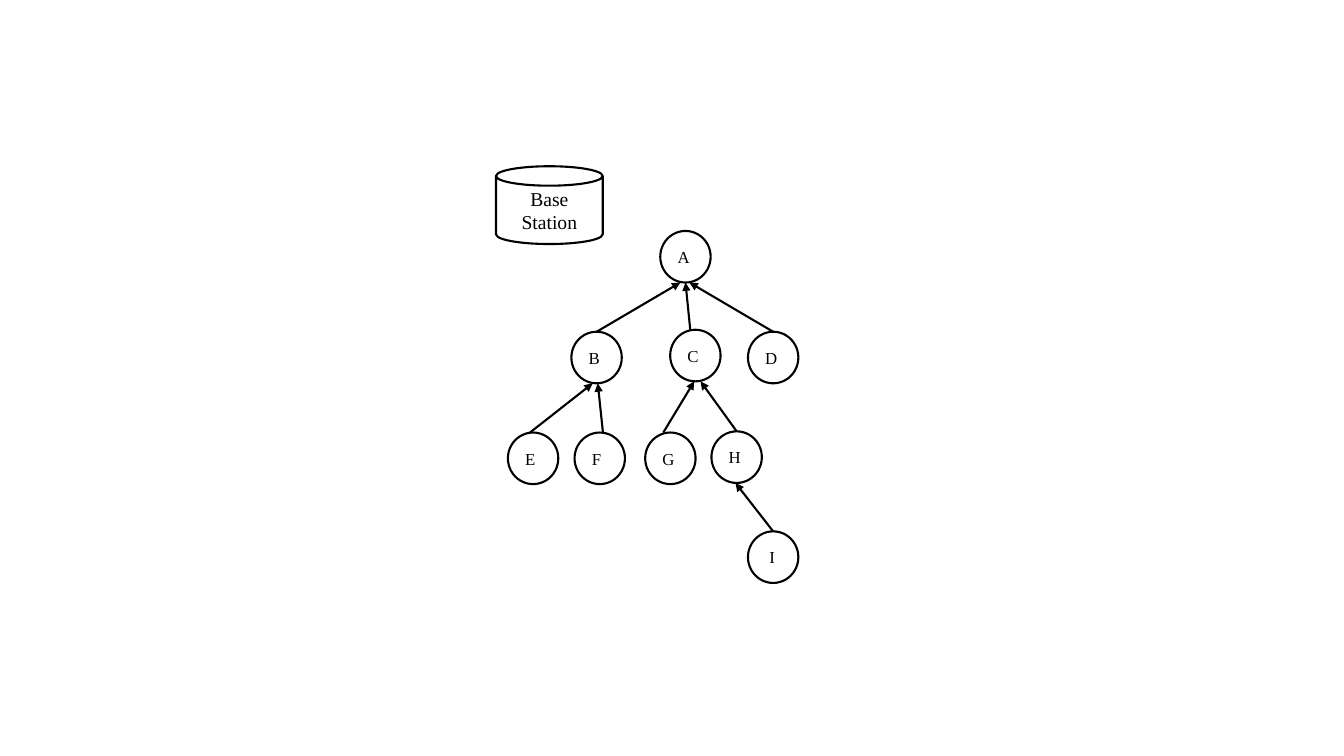
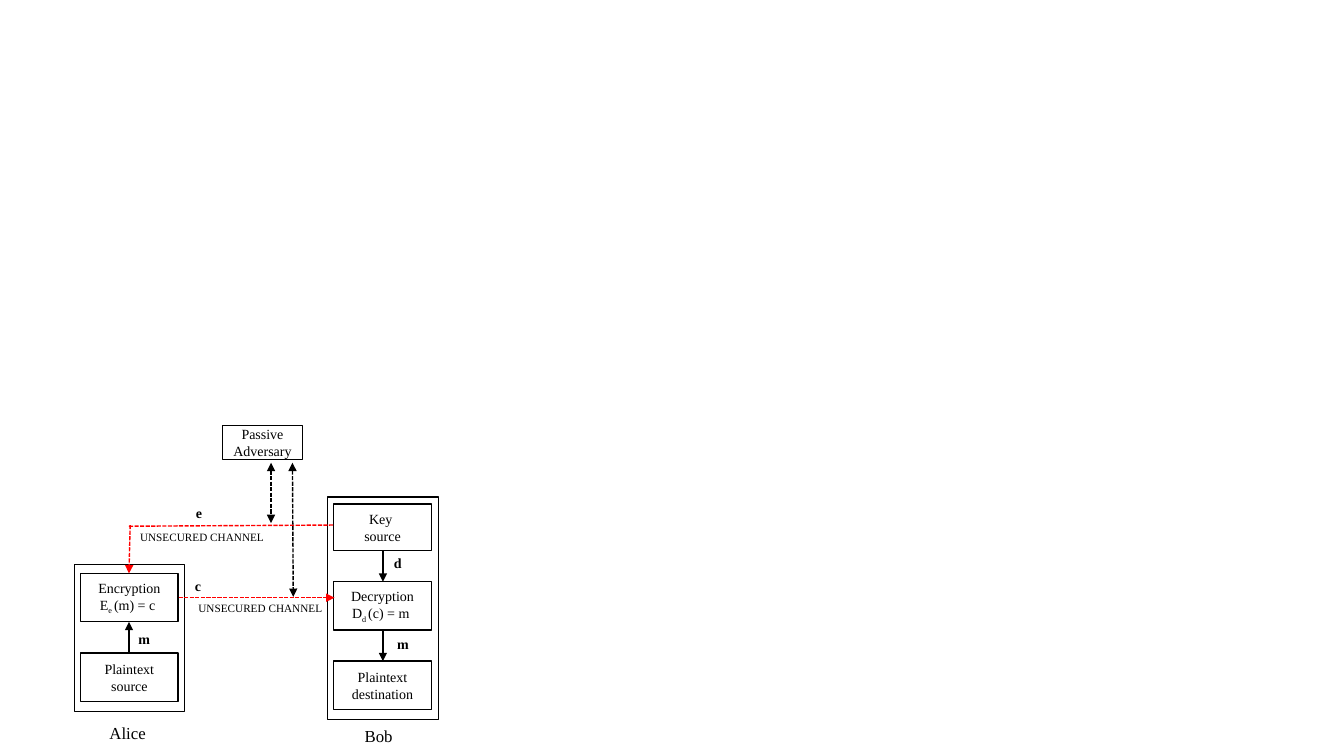
from lxml import etree
from pptx import Presentation
from pptx.dml.color import RGBColor
from pptx.enum.dml import MSO_LINE
from pptx.enum.shapes import MSO_CONNECTOR, MSO_SHAPE
from pptx.enum.text import MSO_ANCHOR, MSO_AUTO_SIZE, PP_ALIGN
from pptx.oxml.ns import qn
from pptx.util import Cm, Pt

OVAL, RECT, CAN = MSO_SHAPE.OVAL, MSO_SHAPE.RECTANGLE, MSO_SHAPE.CAN
STRAIGHT, DASH = MSO_CONNECTOR.STRAIGHT, MSO_LINE.SQUARE_DOT
LEFT, CENTER = PP_ALIGN.LEFT, PP_ALIGN.CENTER
MIDDLE, GROW = MSO_ANCHOR.MIDDLE, MSO_AUTO_SIZE.SHAPE_TO_FIT_TEXT
FONT = "Times New Roman"
COLORS = {"ink": "000000", "paper": "FFFFFF", "alert": "FF0000"}


def color(name):
    return RGBColor.from_string(COLORS[name])


class Deck:
    """Holds the shared style and the current slide."""

    def __init__(self):
        self.prs = Presentation()
        self.prs.slide_width, self.prs.slide_height = Cm(33.87), Cm(19.05)
        self.slide = None
        self.width = 1

    def page(self, width):
        """Start a slide whose lines are all this many points wide."""
        self.slide = self.prs.slides.add_slide(self.prs.slide_layouts[6])
        self.width = width

    def set_text(self, frame, text, size, align, bold=False):
        """Fill a frame; text between bars is set as a subscript."""
        lines = text.split("\n")
        for num, line in enumerate(lines):
            para = frame.add_paragraph() if num else frame.paragraphs[0]
            para.alignment = align
            for part, piece in enumerate(line.split("|")):
                run = para.add_run()
                run.text = piece
                font = run.font
                font.name, font.size, font.bold = FONT, Pt(size), bold
                font.color.rgb = color("ink")
                if part % 2:
                    run._r.get_or_add_rPr().set("baseline", "-25000")

    def shape(self, kind, x, y, w, h, text="", size=10, align=CENTER, fill=None):
        item = self.slide.shapes.add_shape(kind, Cm(x), Cm(y), Cm(w), Cm(h))
        item.shadow.inherit = False
        if fill:
            item.fill.solid()
            item.fill.fore_color.rgb = color(fill)
        else:
            item.fill.background()
        item.line.color.rgb = color("ink")
        item.line.width = Pt(self.width)
        if text:
            item.text_frame.vertical_anchor = MIDDLE
            self.set_text(item.text_frame, text, size, align)

    def label(self, x, y, w, h, text, size, bold=False, wrap=True, inset=None):
        box = self.slide.shapes.add_textbox(Cm(x), Cm(y), Cm(w), Cm(h))
        frame = box.text_frame
        frame.word_wrap, frame.auto_size = wrap, GROW
        if inset is not None:
            frame.margin_left, frame.margin_right = Cm(inset), 0
        self.set_text(frame, text, size, LEFT, bold)

    def line(self, x1, y1, x2, y2, ends=("tailEnd",), ink="ink", dash=False):
        link = self.slide.shapes.add_connector(
            STRAIGHT, Cm(x1), Cm(y1), Cm(x2), Cm(y2))
        link.line.color.rgb = color(ink)
        link.line.width = Pt(self.width)
        if dash:
            link.line.dash_style = DASH
        props = link._element.spPr
        for end in ends:
            tip = etree.SubElement(props.find(qn("a:ln")), qn("a:" + end))
            tip.set("type", "triangle")
        etree.SubElement(props, qn("a:effectLst"))


deck = Deck()

# Slide 1: routing tree
deck.page(1.5)
NODE_W, NODE_H = 1.27, 1.3
nodes = {
    "A": (16.64, 5.82),
    "B": (14.4, 8.36), "C": (16.89, 8.31), "D": (18.85, 8.36),
    "E": (12.8, 10.9), "F": (14.48, 10.9), "G": (16.26, 10.9),
    "H": (17.93, 10.87), " I": (18.85, 13.39),
}
for name, (x, y) in nodes.items():
    deck.shape(OVAL, x, y, NODE_W, NODE_H, name, 12, LEFT, "paper")

# Child, parent, and how far each end sits from the node's middle
edges = [
    ("B", "A", 0, -0.13), ("C", "A", -0.13, 0), ("D", "A", 0, 0.1),
    ("E", "B", -0.08, -0.1), ("F", "B", 0.08, 0.03),
    ("G", "C", -0.18, -0.03), ("H", "C", 0, 0.13), (" I", "H", 0, -0.03),
]
for child, parent, start, stop in edges:
    (x1, y1), (x2, y2) = nodes[child], nodes[parent]
    mid = NODE_W / 2
    deck.line(x1 + mid + start, y1, x2 + mid + stop, y2 + NODE_H)

deck.shape(CAN, 12.5, 4.19, 2.69, 1.96, "Base Station", 14)

# Slide 2: public-key channel
deck.page(1)
BOX_W, BOX_H = 2.46, 1.22
ALICE, BOB = 2.03, 8.41
BOTH = ("headEnd", "tailEnd")

# Frames and their boxes
deck.shape(RECT, 5.61, 10.72, 2.01, 0.86, "Passive\nAdversary")
deck.shape(RECT, 1.88, 14.22, 2.77, 3.71)
deck.shape(RECT, 8.26, 12.52, 2.79, 5.61)
for x, y, h, text in [
    (ALICE, 14.45, BOX_H, "Encryption\nE|e |(m) = c "),
    (ALICE, 16.46, BOX_H, "Plaintext\nsource"),
    (BOB, 12.7, 1.17, "Key \nsource"),
    (BOB, 14.66, BOX_H, "Decryption\nD|d |(c) = m "),
    (BOB, 16.66, BOX_H, "Plaintext\ndestination"),
]:
    deck.shape(RECT, x, y, BOX_W, h, text)

# Steps inside each frame
for x, y1, y2 in [(3.25, 16.46, 15.67), (9.65, 13.87, 14.66),
                  (9.65, 15.88, 16.66)]:
    deck.line(x, y1, x, y2)

# Open channels and the taps on them
deck.line(3.25, 13.26, BOB, 13.23, (), "alert", True)
deck.line(3.28, 13.23, 3.25, 14.45, ink="alert", dash=True)
deck.line(4.5, 15.06, 8.43, 15.06, ink="alert", dash=True)
deck.line(6.83, 11.66, 6.83, 13.18, BOTH, dash=True)
deck.line(7.37, 11.66, 7.39, 15.04, BOTH, dash=True)
for x, y in [(3.28, 13.23), (4.75, 15.04)]:
    deck.label(x, y, 3.68, 0.61, "UNSECURED CHANNEL", 8)

# Message and key letters
for x, y, w, text in [
    (4.83, 12.6, 0.36, "e"), (4.8, 14.43, 0.36, "c"),
    (3.38, 15.77, 0.36, "m"), (9.7, 13.84, 0.48, "d"),
    (9.78, 15.9, 0.48, "m"),
]:
    deck.label(x, y, w, 0.69, text, 10, bold=True, inset=w - 0.25)

# Party names
deck.label(2.51, 18.08, 1.45, 0.76, "Alice", 12, wrap=False)
deck.label(8.94, 18.16, 1.22, 0.76, "Bob", 12, wrap=False)

deck.prs.save("out.pptx")
